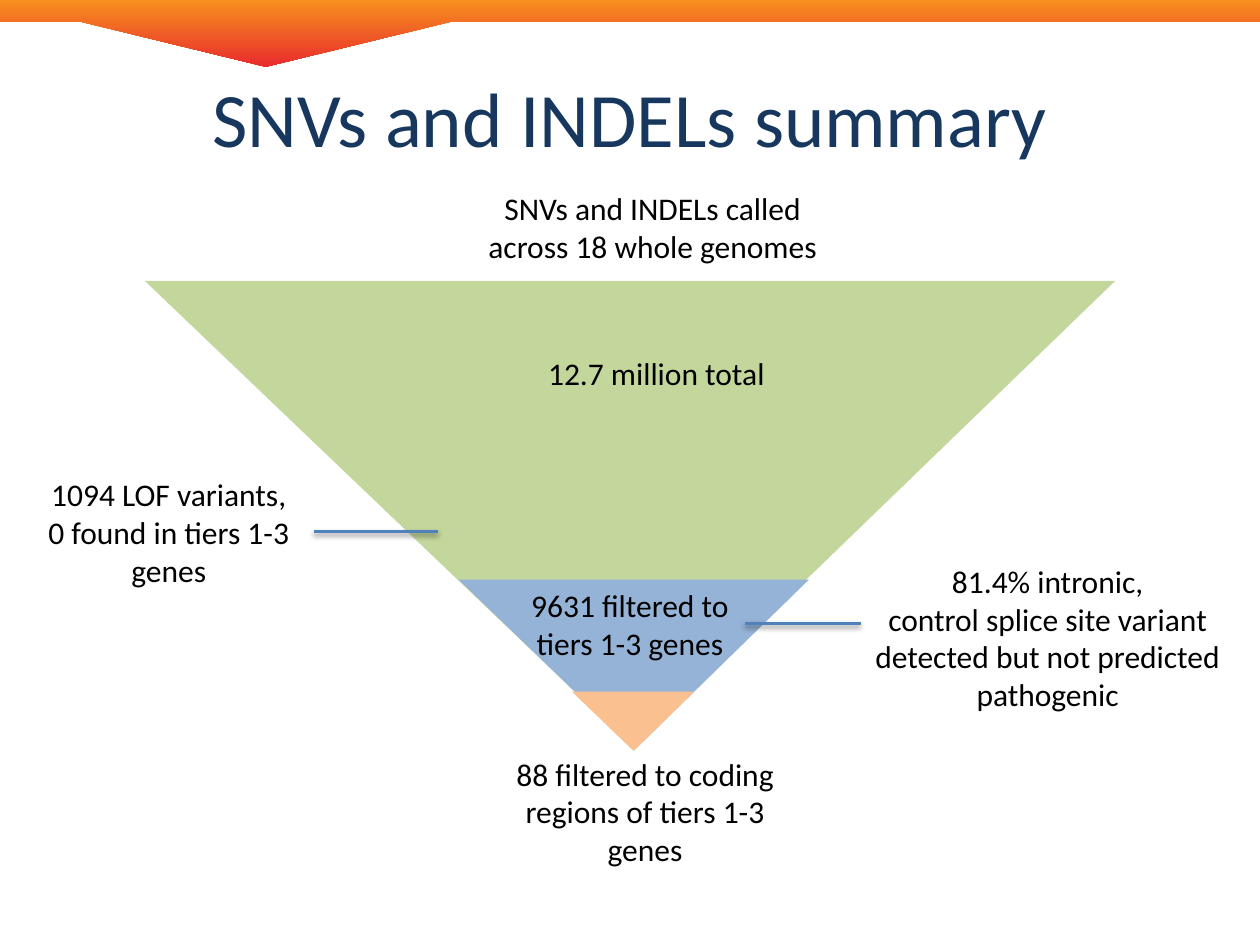
from dataclasses import dataclass

from lxml.etree import SubElement
from pptx import Presentation
from pptx.dml.color import RGBColor as Rgb
from pptx.enum.shapes import MSO_CONNECTOR as Connector, MSO_SHAPE as Shape
from pptx.enum.text import MSO_ANCHOR as Anchor, MSO_AUTO_SIZE as AutoSize, PP_ALIGN as Align
from pptx.oxml.ns import qn
from pptx.util import Inches, Pt


@dataclass(frozen=True)
class Theme:
    font: str = "Calibri"
    title_size: int = 44
    label_size: int = 18
    title: str = "17375E"
    label: str = "000000"
    banner: tuple = ("F7901E", "E82C2E")
    total: str = "C3D69B"
    filtered: str = "95B3D7"
    coding: str = "FAC090"
    pointer: str = "4F81BD"
    pointer_width: int = 2


class FunnelSlide:
    """Places elements on a grid of 40 columns by 30 rows."""
    COLUMNS, ROWS = 40, 30

    def __init__(self, deck, theme):
        self.theme = theme
        self.slide = deck.slides.add_slide(deck.slide_layouts[6])
        self.column = deck.slide_width / self.COLUMNS
        self.row = deck.slide_height / self.ROWS

    def place(self, *cells):
        """Turn alternating column and row values into lengths."""
        return [round(cell * (self.row if i % 2 else self.column))
                for i, cell in enumerate(cells)]

    def banner(self, points):
        corners = [tuple(self.place(*point)) for point in points]
        builder = self.slide.shapes.build_freeform(*corners[0])
        builder.add_line_segments(corners[1:], close=True)
        band = builder.convert_to_shape()
        band.shadow.inherit = False
        band.line.fill.background()
        band.fill.gradient()
        band.fill.gradient_angle = 270
        for stop, position, color in zip(band.fill.gradient_stops, (0, 1), self.theme.banner):
            stop.position = position
            stop.color.rgb = Rgb.from_string(color)

    def funnel(self, levels):
        group = self.slide.shapes.add_group_shape()
        for cells, color in levels:
            level = group.shapes.add_shape(Shape.ISOSCELES_TRIANGLE, *self.place(*cells))
            level.adjustments[0] = 0.497
            level.rotation = 180
            level.shadow.inherit = False
            level.fill.solid()
            level.fill.fore_color.rgb = Rgb.from_string(color)
            level.line.fill.background()

    def text(self, cells, words, size, color, wrap=True):
        box = self.slide.shapes.add_textbox(*self.place(*cells))
        frame = box.text_frame
        frame.word_wrap = wrap
        frame.text = words
        for paragraph in frame.paragraphs:
            paragraph.alignment = Align.CENTER
            for run in paragraph.runs:
                run.font.name = self.theme.font
                run.font.size = Pt(size)
                run.font.color.rgb = Rgb.from_string(color)
        return frame

    def title(self, cells, words):
        frame = self.text(cells, words, self.theme.title_size, self.theme.title)
        frame.vertical_anchor = Anchor.MIDDLE

    def label(self, cells, words, wrap=True):
        frame = self.text(cells, words, self.theme.label_size, self.theme.label, wrap)
        frame.auto_size = AutoSize.SHAPE_TO_FIT_TEXT

    def pointer(self, start, end, row):
        line = self.slide.shapes.add_connector(
            Connector.STRAIGHT, *self.place(start, row, end, row))
        line.line.color.rgb = Rgb.from_string(self.theme.pointer)
        line.line.width = Pt(self.theme.pointer_width)
        # Soft shadow just below the line
        effects = SubElement(line._element.spPr, qn("a:effectLst"))
        shadow = SubElement(effects, qn("a:outerShdw"), blurRad=str(Pt(3.1)),
                            dist=str(Pt(1.6)), dir="5400000", rotWithShape="0")
        black = SubElement(shadow, qn("a:srgbClr"), val="000000")
        SubElement(black, qn("a:alpha"), val="38000")


def main():
    deck = Presentation()
    deck.slide_width, deck.slide_height = Inches(10), Inches(7.5)
    theme = Theme()
    summary = FunnelSlide(deck, theme)

    # Banner and title
    summary.banner([(0, 0), (40, 0), (40, 0.68), (14.36, 0.68),
                    (8.44, 2.12), (2.52, 0.68), (0, 0.68)])
    summary.title((2, 1.2, 36, 5), "SNVs and INDELs summary")

    # Funnel, widest level first
    summary.funnel([
        ((4.6, 8.92, 30.8, 14.8), theme.total),
        ((14.56, 18.4, 11.12, 5.4), theme.filtered),
        ((18.16, 21.96, 3.88, 1.88), theme.coding),
    ])

    # Counts along the funnel
    summary.label((16.96, 11.04, 7.76, 1.6), "12.7 million total", wrap=False)
    summary.label((15.8, 18.4, 8.4, 2.84), "9631 filtered to tiers 1-3 genes")
    summary.label((15.04, 5.8, 11.36, 2.84),
                  "SNVs and INDELs called\nacross 18 whole genomes", wrap=False)
    summary.label((15.68, 23.76, 9.6, 4.04),
                  "88 filtered to coding regions of tiers 1-3 genes")

    # Side notes and their pointers
    summary.label((0.76, 14.88, 9.2, 4.04),
                  "1094 LOF variants,\n0 found in tiers 1-3 genes")
    summary.label((27.08, 17.64, 12.36, 5.24),
                  "81.4% intronic,\ncontrol splice site variant detected "
                  "but not predicted pathogenic")
    summary.pointer(23.64, 27.32, 19.8)
    summary.pointer(9.96, 13.92, 16.88)

    deck.save("out.pptx")


if __name__ == "__main__":
    main()
